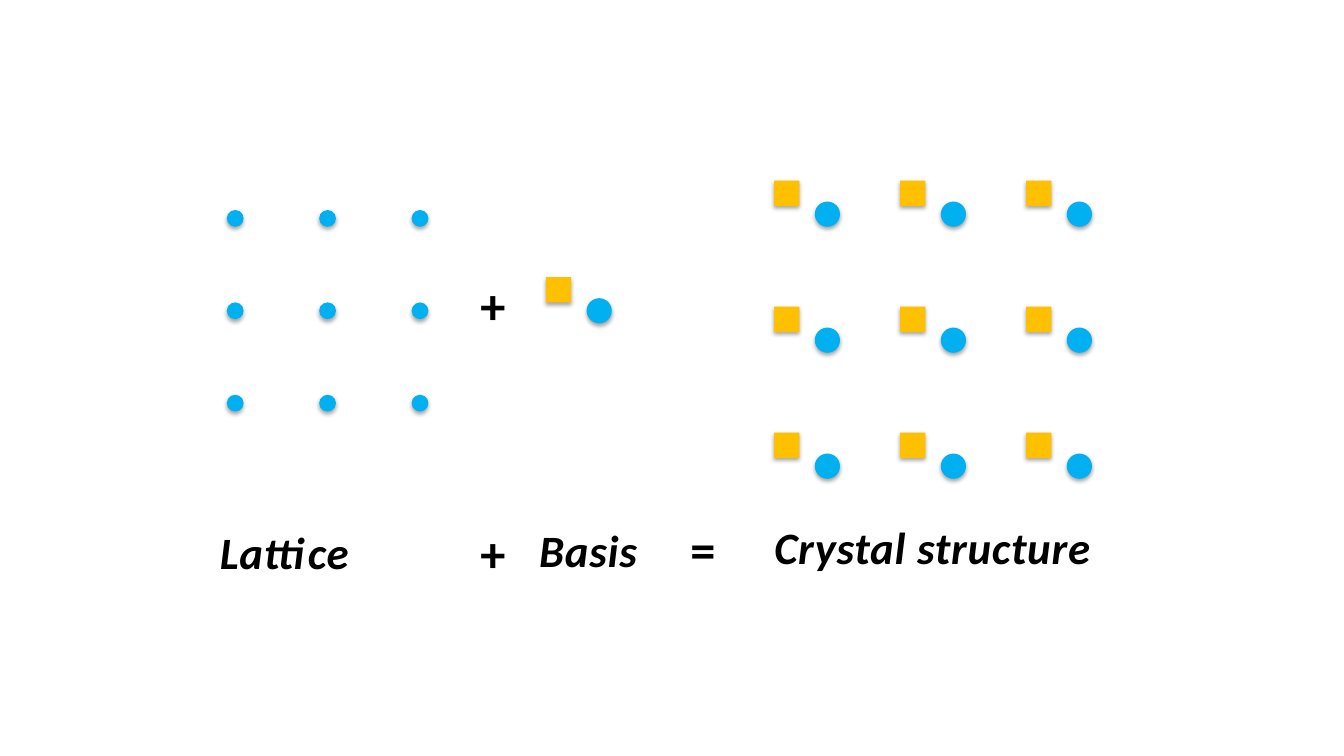
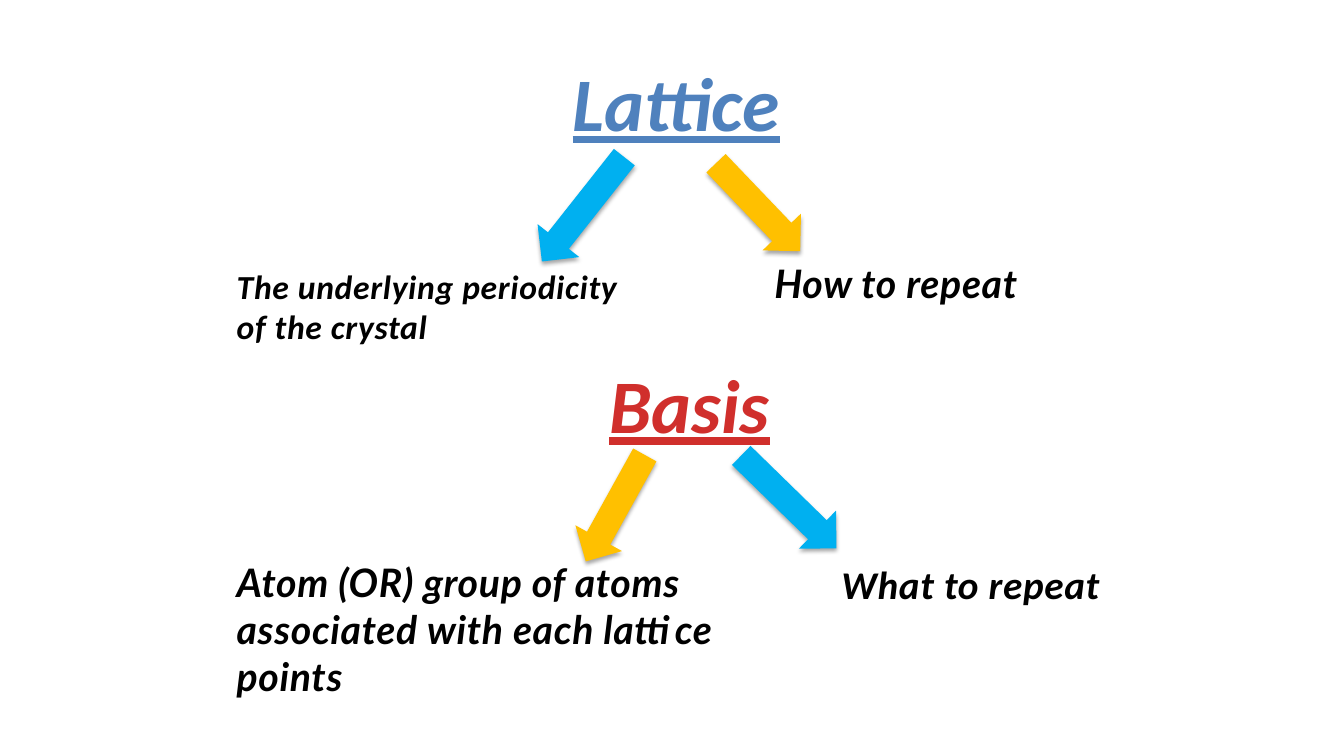
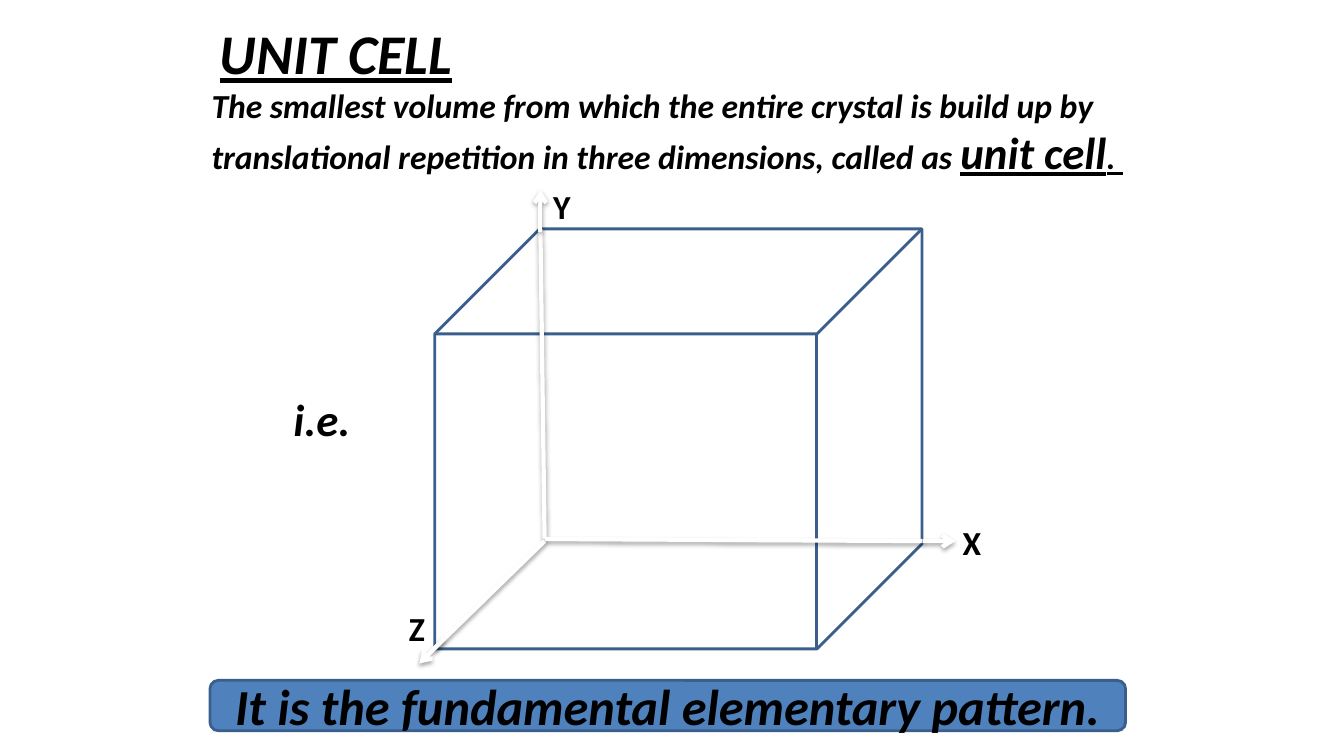
from lxml import etree
from pptx import Presentation
from pptx.dml.color import RGBColor
from pptx.enum.shapes import MSO_CONNECTOR as CONN, MSO_SHAPE as SHAPE
from pptx.enum.text import MSO_ANCHOR as ANCHOR, MSO_AUTO_SIZE as AUTO, PP_ALIGN as ALIGN
from pptx.oxml.ns import qn
from pptx.util import Pt

BLACK = RGBColor(0x00, 0x00, 0x00)
WHITE = RGBColor(0xFF, 0xFF, 0xFF)
SKY = RGBColor(0x00, 0xB0, 0xF0)
AMBER = RGBColor(0xFF, 0xC0, 0x00)
BLUE = RGBColor(0x4F, 0x81, 0xBD)
EDGE = RGBColor(0x3A, 0x5F, 0x8C)
RED = RGBColor(0xD0, 0x2F, 0x2C)
BASE = dict(name="Calibri", bold=True, italic=True)


def add_text(s, box, paras, wrap=True, align=ALIGN.LEFT, color=BLACK, spc=0, **fmt):
    """Add a text box; each paragraph is a list of (text, format) runs."""
    tf = s.shapes.add_textbox(*map(Pt, box)).text_frame
    tf.word_wrap = wrap
    tf.auto_size = AUTO.SHAPE_TO_FIT_TEXT
    for i, runs in enumerate(paras):
        p = tf.add_paragraph() if i else tf.paragraphs[0]
        p.alignment = align
        for text, extra in runs:
            r = p.add_run()
            r.text = text
            for key, value in {**BASE, **fmt, **extra}.items():
                setattr(r.font, key, value)
            r.font.color.rgb = color
            if spc:
                r._r.get_or_add_rPr().set("spc", str(spc))


def add_shadow(sp):
    """Give a shape or connector the soft shadow below it."""
    effects = etree.SubElement(sp._element.spPr, qn("a:effectLst"))
    shadow = etree.SubElement(effects, qn("a:outerShdw"), blurRad=str(Pt(3.1)),
                              dist=str(Pt(1.8)), dir="5400000", rotWithShape="0")
    black = etree.SubElement(shadow, qn("a:srgbClr"), val="000000")
    etree.SubElement(black, qn("a:alpha"), val="35000")


prs = Presentation()
prs.slide_width, prs.slide_height = Pt(960), Pt(540)
blank = prs.slide_layouts[6]

# Slide 1: lattice + basis = crystal structure
s = prs.slides.add_slide(blank)
grid = [(col, row) for row in range(3) for col in range(3)]
marks = [(SHAPE.OVAL, 162 + 66 * col, 150 + 66 * row, 12, SKY) for col, row in grid]
atoms = [(419, 213)] + [(582 + 90 * col, 144 + 90 * row) for col, row in grid]
for x, y in atoms:
    marks += [(SHAPE.OVAL, x, y, 18, SKY),
              (SHAPE.RECTANGLE, x - 29, y - 15, 18, AMBER)]
for kind, x, y, size, color in marks:
    sp = s.shapes.add_shape(kind, Pt(x), Pt(y), Pt(size), Pt(size))
    sp.fill.solid()
    sp.fill.fore_color.rgb = color
    sp.line.fill.background()
    add_shadow(sp)

for x, y, sign in [(336, 192, "+"), (336, 369.5, "+"), (486, 366.5, "=")]:
    add_text(s, (x, y, 36, 51), [[(sign, {})]], size=Pt(36), italic=False, spc=50)
for x, y, w, label in [(150, 371, 114, "Lattice"), (378, 369.5, 90, "Basis"),
                       (546, 368, 246, "Crystal structure")]:
    add_text(s, (x, y, w, 46), [[(label, {})]], size=Pt(32), spc=50)

# Slide 2: what lattice and basis mean
s = prs.slides.add_slide(blank)
for box, label, color, wrap in [((390, 36.5, 186, 72), "Lattice", BLUE, True),
                                ((427.5, 252, 130, 72.5), "Basis", RED, False)]:
    add_text(s, box, [[(label, {})]], wrap, ALIGN.CENTER, color,
             size=Pt(54), underline=True)

for x, y, h, angle, color in [(522.5, 104.5, 87, 316.3, AMBER),
                              (397.5, 102, 95, 38.3, SKY),
                              (420.5, 319.5, 87, 29, AMBER),
                              (544.5, 311, 95, 314.3, SKY)]:
    sp = s.shapes.add_shape(SHAPE.DOWN_ARROW, Pt(x), Pt(y), Pt(38), Pt(h))
    sp.rotation = angle
    sp.fill.solid()
    sp.fill.fore_color.rgb = color
    sp.line.fill.background()
    add_shadow(sp)

for box, lines, size, font in [
        ((162, 186.5, 300, 65.5), ["The underlying periodicity", "of the crystal"], 24, "Calibri"),
        ((546, 181.5, 282, 41), ["How to repeat"], 28, "Lato"),
        ((162, 395.5, 360, 109),
         ["Atom (OR) group of atoms associated with each lattice points"], 28, "Lato"),
        ((594, 396.5, 210, 41), ["What to repeat"], 28, "Calibri")]:
    add_text(s, box, [[(line, {})] for line in lines], size=Pt(size), name=font, spc=50)

# Slide 3: unit cell
s = prs.slides.add_slide(blank)
add_text(s, (144, 57, 672, 75), [[
    ("The smallest volume from which the entire crystal is build up by "
     "translational repetition in three dimensions, called as ", {}),
    ("unit cell", dict(size=Pt(32), underline=True)),
    (". ", dict(underline=True))]], size=Pt(24))
add_text(s, (150, 10, 182, 55.5), [[("UNIT CELL", {})]], False,
         size=Pt(40), underline=True)

# Band and cell outline
band = s.shapes.add_shape(SHAPE.ROUNDED_RECTANGLE, Pt(150), Pt(486), Pt(654), Pt(36))
band.fill.solid()
band.fill.fore_color.rgb = BLUE
cube = s.shapes.add_shape(SHAPE.CUBE, Pt(310.5), Pt(163.5), Pt(348), Pt(300))
cube.fill.background()
for sp in (band, cube):
    sp.shadow.inherit = False
    sp.line.color.rgb = EDGE
    sp.line.width = Pt(2)
tf = band.text_frame
tf.word_wrap = True
tf.vertical_anchor = ANCHOR.MIDDLE
p = tf.paragraphs[0]
p.alignment = ALIGN.CENTER
r = p.add_run()
r.text = "It is the fundamental elementary pattern."
for key, value in dict(BASE, size=Pt(36)).items():
    setattr(r.font, key, value)
r.font.color.rgb = BLACK

# Axes, each a plain line followed by an arrow
for x1, y1, x2, y2, arrow in [(386, 163.5, 389, 385, False),
                              (389, 385, 659, 386.5, False),
                              (389, 386.5, 310.5, 463, False),
                              (659, 386.5, 682.5, 386.5, True),
                              (386, 165.5, 386, 135.5, True),
                              (317.5, 456, 299.5, 474, True)]:
    axis = s.shapes.add_connector(CONN.STRAIGHT, Pt(x1), Pt(y1), Pt(x2), Pt(y2))
    axis.line.color.rgb = WHITE
    axis.line.width = Pt(3)
    if arrow:
        etree.SubElement(axis.line._get_or_add_ln(), qn("a:tailEnd"), type="arrow")
    add_shadow(axis)

for x, y, label in [(680.5, 369.5, "X"), (388, 129, "Y"), (285, 430.5, "Z")]:
    add_text(s, (x, y, 27, 36), [[(label, {})]], False, size=Pt(24), italic=False)
add_text(s, (202.5, 276, 55.5, 46), [[("i.e.", {})]], False, size=Pt(32))

prs.save("out.pptx")
